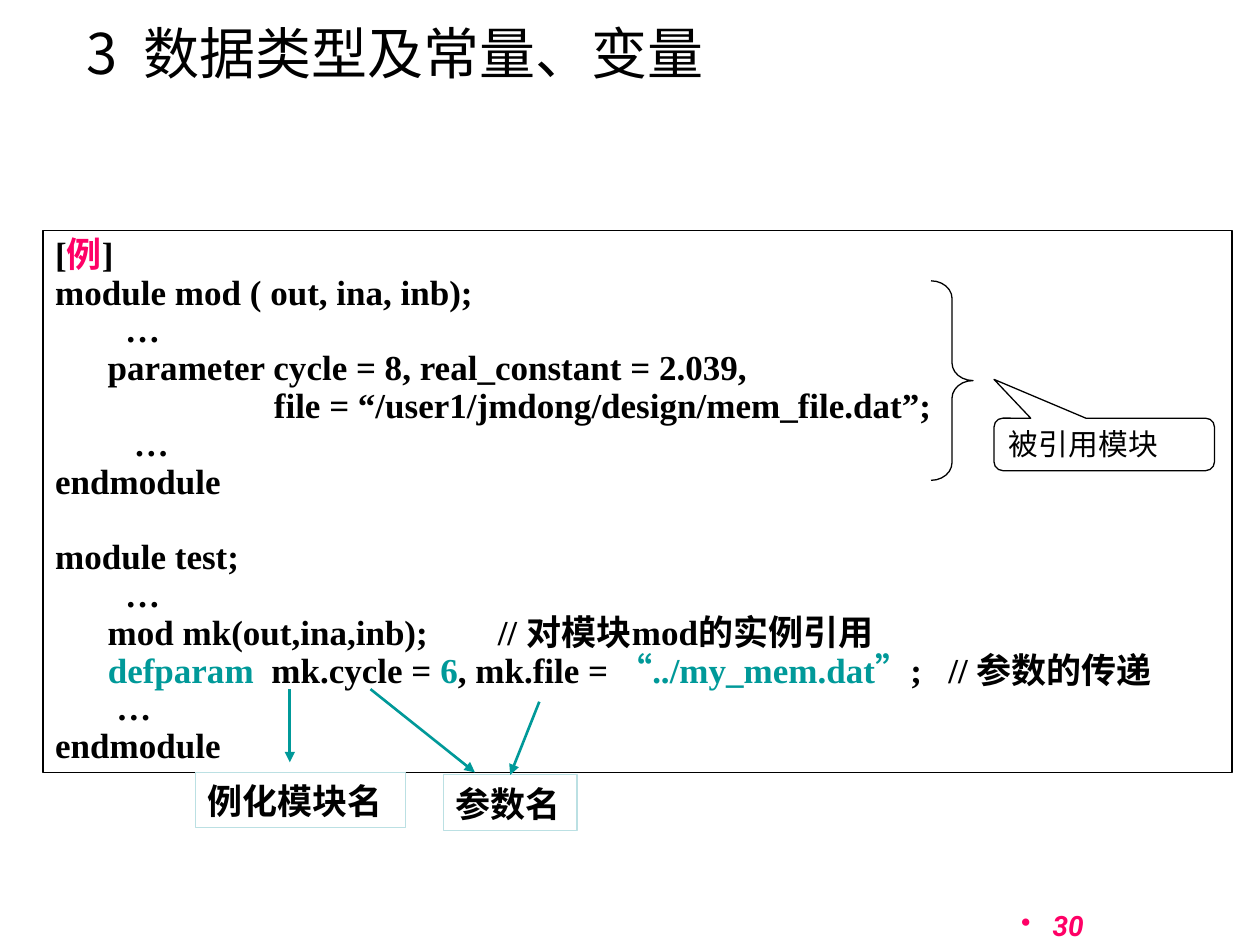
from dataclasses import dataclass

from lxml.etree import SubElement
from pptx import Presentation
from pptx.dml.color import RGBColor
from pptx.enum.shapes import MSO_CONNECTOR as Connector
from pptx.enum.shapes import MSO_SHAPE as Shape
from pptx.enum.text import MSO_ANCHOR as Anchor
from pptx.enum.text import PP_ALIGN as Align
from pptx.oxml.ns import qn
from pptx.util import Pt


@dataclass(frozen=True)
class Theme:
    black: RGBColor = RGBColor(0x00, 0x00, 0x00)
    pink: RGBColor = RGBColor(0xFF, 0x00, 0x66)
    teal: RGBColor = RGBColor(0x00, 0x99, 0x99)
    pale: RGBColor = RGBColor(0xBB, 0xE0, 0xE3)
    title_size: float = 32
    code_size: float = 20
    callout_size: float = 17
    page_size: float = 16
    code_font: str = "Times New Roman"
    label_font: str = "Roboto"
    chinese_font: str = "Noto Sans CJK SC"


THEME = Theme()
TOP = 0

# Each code line is a list of (text, colour, font) parts; the last two may be left out.
CODE = [
    [("[",), ("例", THEME.pink), ("]",)],
    [("module mod ( out, ina, inb);",)],
    [("        …",)],
    [("      parameter cycle = 8, real_constant = 2.039,",)],
    [("                         file = “/user1/jmdong/design/mem_file.dat”;",)],
    [("         …",)],
    [("endmodule",)],
    [],
    [("module test;",)],
    [("        …",)],
    [("      mod mk(out,ina,inb);        // 对模块mod的实例引用",)],
    [
        ("      ",),
        ("defparam", THEME.teal),
        ("  mk.cycle = ",),
        ("6", THEME.teal),
        (", mk.file = ",),
        ("“", THEME.teal, THEME.chinese_font),
        ("../my_mem.dat", THEME.teal),
        ("”", THEME.teal, THEME.chinese_font),
        (";   // 参数的传递",),
    ],
    [("       …",)],
    [("endmodule",)],
]


class SlideBuilder:
    def __init__(self, slide, theme):
        self.slide = slide
        self.theme = theme

    def style_run(self, run, size, font, color=None, bold=False, italic=False):
        run.font.size = Pt(size)
        run.font.bold = bold
        run.font.italic = italic
        run.font.name = font
        run.font.color.rgb = color or self.theme.black
        east_asian = SubElement(run.font._element, qn("a:ea"))
        east_asian.set("typeface", self.theme.chinese_font)

    def set_frame(self, frame, side=7.2, edge=3.6):
        frame.word_wrap = True
        frame.vertical_anchor = Anchor.BOTTOM
        frame.margin_left = frame.margin_right = Pt(side)
        frame.margin_top = frame.margin_bottom = Pt(edge)

    def title(self, text, *box):
        shape = self.slide.shapes.title
        shape.left, shape.top, shape.width, shape.height = map(Pt, box)
        self.set_frame(shape.text_frame, edge=0)
        shape.text_frame.text = text
        paragraph = shape.text_frame.paragraphs[0]
        paragraph.alignment = Align.LEFT
        paragraph.line_spacing = 1.0
        self.style_run(paragraph.runs[0], self.theme.title_size, self.theme.chinese_font)

    def outline(self, kind, box, color, width):
        shape = self.slide.shapes.add_shape(kind, *map(Pt, box))
        shape.shadow.inherit = False
        shape.fill.background()
        shape.line.color.rgb = color
        shape.line.width = Pt(width)
        self.set_frame(shape.text_frame)
        return shape

    def code(self, lines, *box):
        frame = self.outline(Shape.RECTANGLE, box, self.theme.black, 1).text_frame
        for index, parts in enumerate(lines):
            paragraph = frame.add_paragraph() if index else frame.paragraphs[0]
            paragraph.alignment = Align.LEFT
            paragraph.line_spacing = 0.9
            paragraph.font.size = Pt(self.theme.code_size)
            paragraph.font.name = self.theme.code_font
            for text, *look in parts:
                color, font = (look + [None, None])[:2]
                run = paragraph.add_run()
                run.text = text
                self.style_run(run, self.theme.code_size,
                               font or self.theme.code_font, color, bold=True)

    def note(self, kind, text, box, color, size, bold=False):
        shape = self.outline(kind, box, color, 0.75)
        shape.text_frame.text = text
        paragraph = shape.text_frame.paragraphs[0]
        paragraph.alignment = Align.LEFT
        self.style_run(paragraph.runs[0], size, self.theme.label_font, bold=bold)
        return shape

    def label(self, text, *box):
        return self.note(Shape.RECTANGLE, text, box, self.theme.pale,
                         self.theme.code_size, bold=True)

    def callout(self, text, *box):
        shape = self.note(Shape.ROUNDED_RECTANGULAR_CALLOUT, text, box,
                          self.theme.black, self.theme.callout_size)
        shape.text_frame.paragraphs[0].line_spacing = 0.9
        for index, value in enumerate((-0.5, -1.24, 0.17)):
            shape.adjustments[index] = value

    def brace(self, *box):
        shape = self.outline(Shape.RIGHT_BRACE, box, self.theme.black, 0.75)
        shape.adjustments[0] = 0.42

    def arrow(self, start, end, target=None):
        line = self.slide.shapes.add_connector(Connector.STRAIGHT, *map(Pt, start + end))
        if target is not None:
            line.end_connect(target, TOP)
        line.line.color.rgb = self.theme.teal
        line.line.width = Pt(1.5)
        SubElement(line.line._get_or_add_ln(), qn("a:tailEnd")).set("type", "triangle")
        SubElement(line._element.spPr, qn("a:effectLst"))

    def page_number(self, text, *box):
        frame = self.slide.shapes.add_textbox(*map(Pt, box)).text_frame
        self.set_frame(frame)
        frame.text = text
        paragraph = frame.paragraphs[0]
        paragraph.alignment = Align.RIGHT
        properties = paragraph._element.get_or_add_pPr()
        properties.set("marL", str(Pt(18)))
        properties.set("indent", str(-Pt(18)))
        color = SubElement(properties, qn("a:buClr"))
        SubElement(color, qn("a:srgbClr")).set("val", str(self.theme.pink))
        SubElement(properties, qn("a:buChar")).set("char", "•")
        self.style_run(paragraph.runs[0], self.theme.page_size, self.theme.label_font,
                       self.theme.pink, bold=True, italic=True)


def main():
    presentation = Presentation()
    presentation.slide_width, presentation.slide_height = Pt(720), Pt(540)
    title_only = presentation.slide_layouts[5]
    builder = SlideBuilder(presentation.slides.add_slide(title_only), THEME)

    builder.title("3  数据类型及常量、变量", 42.5, 15, 448, 34)
    builder.page_number("30", 458.6, 504.7, 167.8, 37.4)
    builder.code(CODE, 24.5, 131.8, 679.7, 309.6)
    builder.callout("被引用模块", 568, 239, 126, 30)
    builder.brace(532, 160.5, 24, 114)

    parameter_label = builder.label("参数名", 253.4, 442.8, 76.3, 31.7)
    builder.label("例化模块名", 111.6, 441.4, 120.2, 31.7)
    builder.arrow((211.7, 393.8), (271.4, 441.4))
    builder.arrow((308.2, 401), (291.5, 442.8), parameter_label)
    builder.arrow((165.6, 393.8), (165.6, 435.6))

    presentation.save("out.pptx")


if __name__ == "__main__":
    main()
